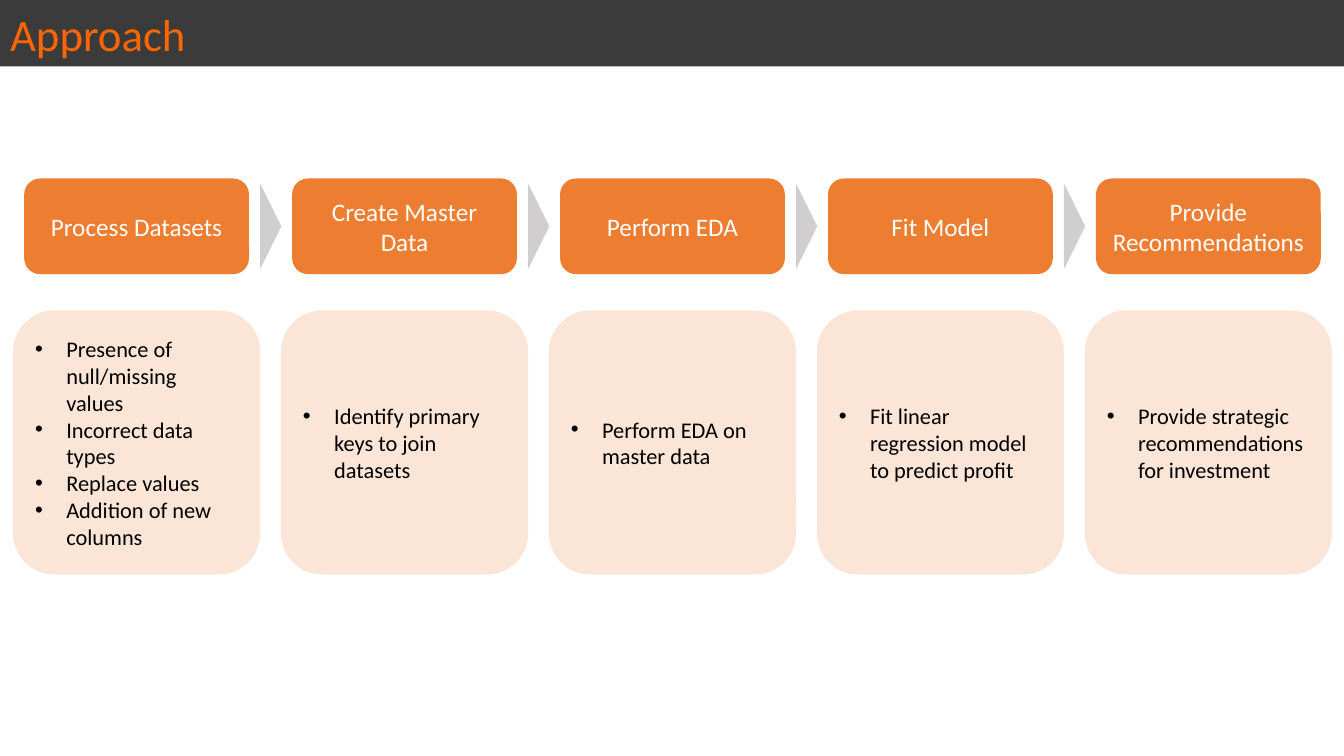
import pptx
import pptx.dml.color
import pptx.enum.shapes
import pptx.enum.text
import pptx.util
from lxml import etree
from pptx.util import Inches

# Content
TITLE = "Approach"
STEPS = [
    ("Process Datasets", ["Presence of null/missing values", "Incorrect data types",
                          "Replace values", "Addition of new columns"]),
    ("Create Master Data", ["Identify primary keys to join datasets"]),
    ("Perform EDA", ["Perform EDA on master data"]),
    ("Fit Model", ["Fit linear regression model to predict profit"]),
    ("Provide Recommendations", ["Provide strategic recommendations for investment"]),
]

# Layout in inches: left of the first item, top, width, height
HEADER = (0.24, 1.77, 2.23, 0.95)
DETAIL = (0.13, 3.08, 2.45, 2.62)
ARROW = (2.26, 2.14, 0.85, 0.21)
LAST_HEADER_LEFT = 10.87
PITCH = (LAST_HEADER_LEFT - HEADER[0]) / (len(STEPS) - 1)
INDENT = 0.31

SHAPES = pptx.enum.shapes.MSO_SHAPE
ALIGN = pptx.enum.text.PP_ALIGN


def color(hex_string):
    return pptx.dml.color.RGBColor.from_string(hex_string)


def paint(shape, fill):
    shape.fill.solid()
    shape.fill.fore_color.rgb = color(fill)
    shape.line.fill.background()


def add_item(slide, kind, box, index, fill):
    left, top, width, height = box
    shape = slide.shapes.add_shape(kind, Inches(left + index * PITCH), Inches(top),
                                   Inches(width), Inches(height))
    shape.shadow.inherit = False
    paint(shape, fill)
    return shape


def write(shape, lines, size, font_color, alignment):
    frame = shape.text_frame
    frame.text = "\n".join(lines)
    frame.word_wrap = True
    frame.auto_size = pptx.enum.text.MSO_AUTO_SIZE.NONE
    frame.vertical_anchor = pptx.enum.text.MSO_ANCHOR.MIDDLE
    for paragraph in frame.paragraphs:
        paragraph.alignment = alignment
        for run in paragraph.runs:
            run.font.name = "Calibri"
            run.font.size = pptx.util.Pt(size)
            run.font.color.rgb = color(font_color)


def add_bullets(shape):
    for paragraph in shape.text_frame.paragraphs:
        properties = paragraph._p.get_or_add_pPr()
        properties.set("marL", str(Inches(INDENT)))
        properties.set("indent", str(-Inches(INDENT)))
        for tag, name, value in (("a:buFont", "typeface", "Arial"), ("a:buChar", "char", "•")):
            element = etree.SubElement(properties, pptx.oxml.ns.qn(tag))
            element.set(name, value)


def main():
    presentation = pptx.Presentation()
    presentation.slide_width = Inches(13.33)
    presentation.slide_height = Inches(7.5)
    slide = presentation.slides.add_slide(presentation.slide_layouts[5])

    # Title bar
    title = slide.shapes.title
    title.left, title.top = Inches(0), Inches(0)
    title.width, title.height = presentation.slide_width, Inches(0.66)
    paint(title, "3B3B3B")
    write(title, [TITLE], 32, "FF6600", ALIGN.LEFT)

    # Step headers with their details
    for index, (heading, details) in enumerate(STEPS):
        header = add_item(slide, SHAPES.ROUNDED_RECTANGLE, HEADER, index, "ED7D31")
        write(header, [heading], 18, "FFFFFF", ALIGN.CENTER)
        detail = add_item(slide, SHAPES.ROUNDED_RECTANGLE, DETAIL, index, "FBE5D6")
        write(detail, details, 16, "000000", ALIGN.LEFT)
        add_bullets(detail)

    # Arrows between steps
    for index in range(len(STEPS) - 1):
        arrow = add_item(slide, SHAPES.ISOSCELES_TRIANGLE, ARROW, index, "D0CECE")
        arrow.rotation = 90

    presentation.save("out.pptx")


if __name__ == "__main__":
    main()
